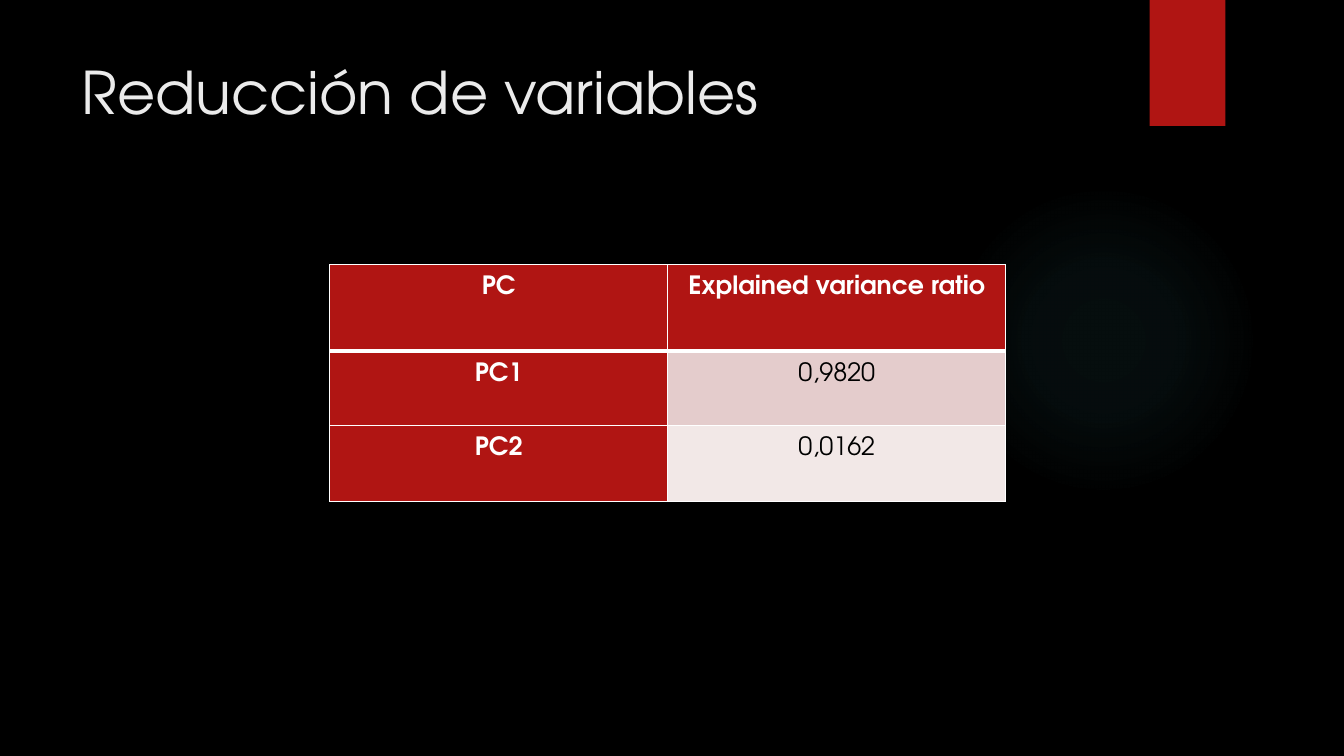
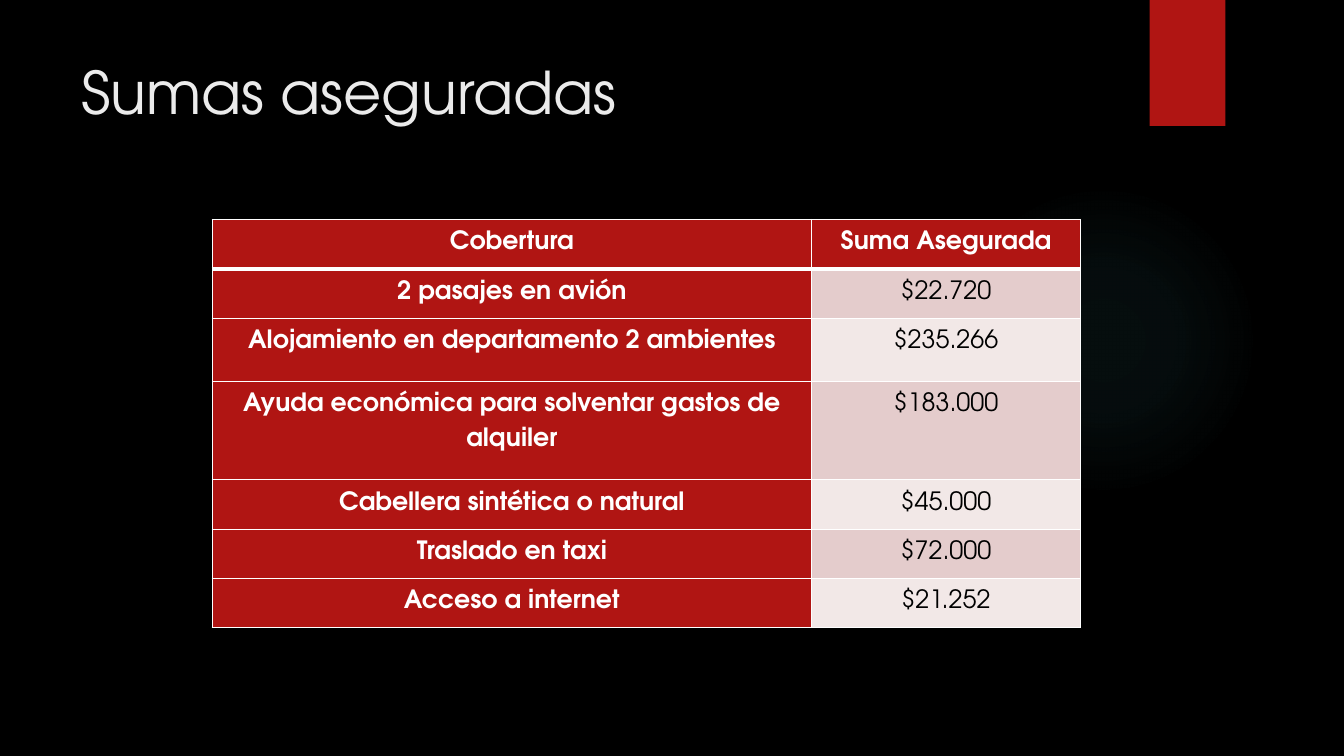
from lxml.etree import SubElement
from pptx import Presentation
from pptx.dml.color import RGBColor
from pptx.enum.shapes import MSO_SHAPE
from pptx.enum.text import PP_ALIGN
from pptx.oxml import parse_xml
from pptx.oxml.ns import nsdecls, qn
from pptx.util import Pt

PX = 9525  # EMU per px, 96 px to the inch
FONT = "TeX Gyre Adventor"
COLORS = {
    "back": "000000",
    "red": "B01513",
    "glow": "50B9C1",
    "title": "EBEBEB",
    "white": "FFFFFF",
    "black": "000000",
    "band_dark": "E4CCCC",
    "band_light": "F2E8E7",
}
RGB = {name: RGBColor.from_string(value) for name, value in COLORS.items()}

TITLE = {"name": FONT, "size": Pt(42), "bold": False}
LABEL = {"name": FONT, "size": Pt(18), "bold": True}
VALUE = {**LABEL, "bold": False}
CELL = {"margin_left": 7 * PX, "margin_right": 7 * PX, "margin_top": 0, "margin_bottom": 0}
GLOW_STOPS = [(0, 7), (36, 6), (69, 0)]  # position %, opacity %

SLIDES = [
    {
        "title": "Reducción de variables",
        "at": (314, 252),
        "cols": [322, 322],
        "rows": [82, 71, 73],
        "cells": [
            ("PC", "Explained variance ratio"),
            ("PC1", "0,9820"),
            ("PC2", "0,0162"),
        ],
    },
    {
        "title": "Sumas aseguradas",
        "at": (202, 209),
        "cols": [571, 256],
        "rows": [47, 47, 60, 94, 47, 47, 47],
        "cells": [
            ("Cobertura", "Suma Asegurada"),
            ("2 pasajes en avión", "$22.720"),
            ("Alojamiento en departamento 2 ambientes", "$235.266"),
            ("Ayuda económica para solventar gastos de alquiler", "$183.000"),
            ("Cabellera sintética o natural", "$45.000"),
            ("Traslado en taxi", "$72.000"),
            ("Acceso a internet", "$21.252"),
        ],
    },
]


def add_run(p, text, fmt, color):
    r = p.add_run()
    r.text = text
    for key, value in fmt.items():
        setattr(r.font, key, value)
    r.font.color.rgb = RGB[color]


def add_border(cell, side, width):
    ln = SubElement(cell._tc.get_or_add_tcPr(), qn(f"a:ln{side}"), w=str(Pt(width)))
    fill = SubElement(ln, qn("a:solidFill"))
    SubElement(fill, qn("a:srgbClr"), val=COLORS["white"])


prs = Presentation()
prs.slide_width, prs.slide_height = 1280 * PX, 720 * PX

for data in SLIDES:
    s = prs.slides.add_slide(prs.slide_layouts[6])
    s.background.fill.solid()
    s.background.fill.fore_color.rgb = RGB["back"]

    # Soft glow
    sp = s.shapes.add_shape(MSO_SHAPE.OVAL, 903 * PX, 176 * PX, 296 * PX, 296 * PX)
    stops = "".join(
        f'<a:gs pos="{pos * 1000}"><a:srgbClr val="{COLORS["glow"]}">'
        f'<a:alpha val="{alpha * 1000}"/></a:srgbClr></a:gs>'
        for pos, alpha in GLOW_STOPS
    )
    sp._element.spPr.insert(2, parse_xml(
        f'<a:gradFill {nsdecls("a")}><a:gsLst>{stops}</a:gsLst><a:path path="circle">'
        '<a:fillToRect l="50000" t="50000" r="50000" b="50000"/></a:path></a:gradFill>'
    ))
    sp.line.fill.background()
    sp.shadow.inherit = False

    # Red tab
    sp = s.shapes.add_shape(MSO_SHAPE.RECTANGLE, 1095 * PX, 0, 72 * PX, 120 * PX)
    sp.fill.solid()
    sp.fill.fore_color.rgb = RGB["red"]
    sp.line.fill.background()
    sp.shadow.inherit = False

    # Title
    tf = s.shapes.add_textbox(68 * PX, 48 * PX, 988 * PX, 147 * PX).text_frame
    tf.word_wrap = True
    add_run(tf.paragraphs[0], data["title"], TITLE, "title")

    # Table
    left, top = data["at"]
    cols, rows = data["cols"], data["rows"]
    table = s.shapes.add_table(
        len(rows), len(cols), left * PX, top * PX, sum(cols) * PX, sum(rows) * PX
    ).table
    for column, width in zip(table.columns, cols):
        column.width = width * PX
    for row, height in zip(table.rows, rows):
        row.height = height * PX

    for i, texts in enumerate(data["cells"]):
        for j, text in enumerate(texts):
            cell = table.cell(i, j)
            for key, value in CELL.items():
                setattr(cell, key, value)
            # The rule under the header row is thicker
            widths = {"L": 1, "R": 1, "T": 3 if i == 1 else 1, "B": 3 if i == 0 else 1}
            for side, width in widths.items():
                add_border(cell, side, width)
            is_label = i == 0 or j == 0
            band = "band_dark" if i % 2 else "band_light"
            cell.fill.solid()
            cell.fill.fore_color.rgb = RGB["red" if is_label else band]
            p = cell.text_frame.paragraphs[0]
            p.alignment = PP_ALIGN.CENTER
            p.line_spacing = 1.5
            add_run(p, text, LABEL if is_label else VALUE, "white" if is_label else "black")

prs.save("out.pptx")
